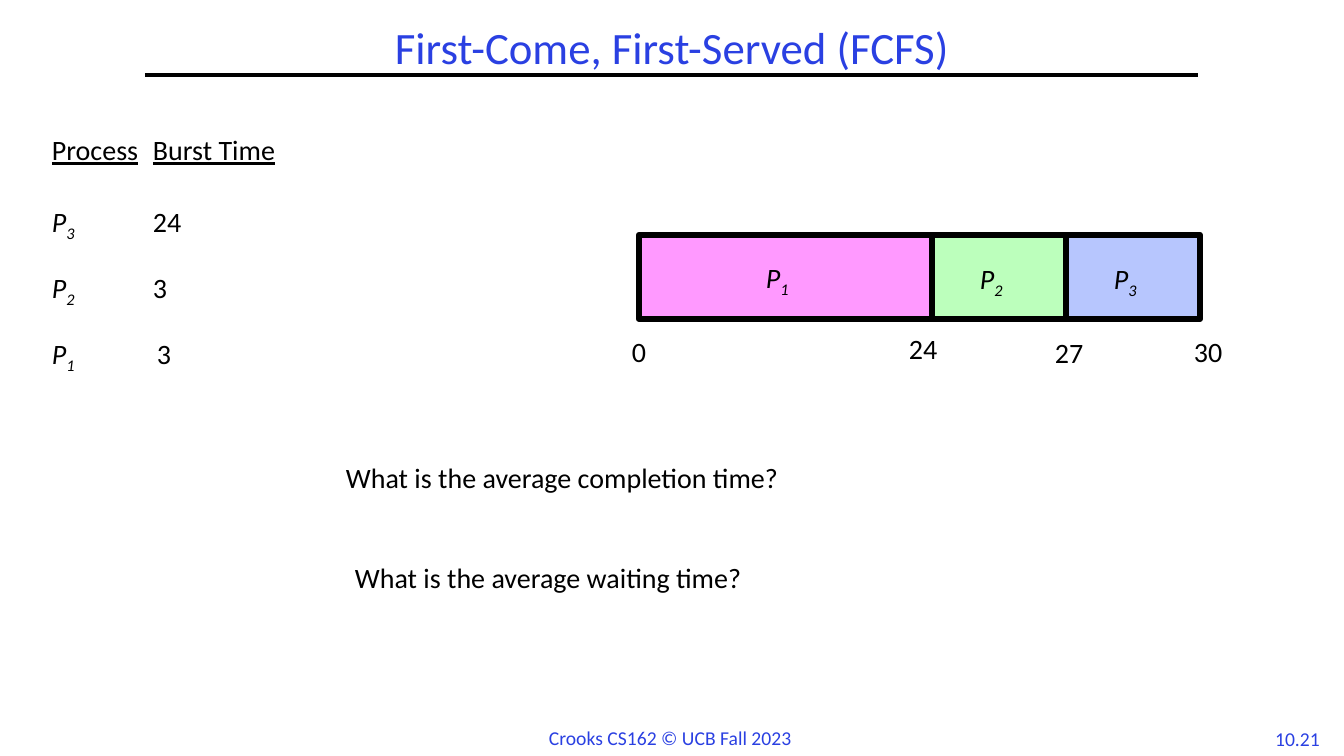
from dataclasses import dataclass
from lxml.etree import SubElement as Sub
from pptx import Presentation
from pptx.dml.color import RGBColor as Rgb
from pptx.enum.shapes import MSO_CONNECTOR as Conn, MSO_SHAPE as Shape
from pptx.enum.text import MSO_ANCHOR as Anchor, PP_ALIGN as Align
from pptx.oxml.ns import qn
from pptx.util import Pt


@dataclass(frozen=True)
class Theme:
    font: str = "Calibri"
    ink: str = "000000"
    blue: str = "2A40E2"
    pink: str = "FF99FF"
    green: str = "BCFFBC"
    sky: str = "B7C6FE"
    head: int = 32
    body: int = 20
    foot: int = 14
    rule: float = 3
    edge: float = 4.5


T = Theme()
WIDE, HIGH = 1344, 756
SCALE = 914400 / 100.8

TITLE = "First-Come, First-Served (FCFS)"
CREDIT = "Crooks CS162 © UCB Fall 2023"
PAGE = "10.21"
HEADS = ("Process", "Burst Time")
ROWS = [("3", "24", 101, 30), ("2", "3", 101, 25.5), ("1", "3", 105, 25.5)]
BARS = [("3", 1066, 134, T.sky), ("2", 932, 134, T.green), ("1", 639, 293, T.pink)]
NAMES = [("3", 1104, 260), ("2", 970, 260), ("1", 756, 259)]
TIMES = [("0", 622, 336), ("24", 899, 333), ("27", 1045, 337), ("30", 1184, 336)]
ASKS = [
    ("What is the average completion time?", 336, 462),
    ("What is the average waiting time?", 345, 562),
]


def px(n):
    return round(n * SCALE)


def style(run, size=T.body, color=T.ink, mark=""):
    font = run.font
    font.name, font.size = T.font, Pt(size)
    font.color.rgb = Rgb.from_string(color)
    if "i" in mark:
        font.italic = True
    if "u" in mark:
        font.underline = True
    if "s" in mark:
        run._r.get_or_add_rPr().set("baseline", "-25000")


def fill(para, parts, lead=0.8, **look):
    para.line_spacing = lead
    for text, mark in parts:
        run = para.add_run()
        run.text = text
        style(run, mark=mark, **look)


def box(x, y, w, h, wrap=True):
    frame = slide.shapes.add_textbox(px(x), px(y), px(w), px(h)).text_frame
    frame.word_wrap = wrap
    return frame


def label(parts, x, y, w, h, wrap=True, align=Align.LEFT, **look):
    frame = box(x, y, w, h, wrap)
    para = frame.paragraphs[0]
    para.alignment = align
    fill(para, parts, **look)
    return frame


def name(num):
    return [("P", "i"), (num, "is")]


def tab(para, at):
    stops = Sub(para._p.get_or_add_pPr(), qn("a:tabLst"))
    Sub(stops, qn("a:tab"), pos=str(px(at)), algn="l")


def bar(x, w, color):
    rect = slide.shapes.add_shape(Shape.RECTANGLE, px(x), px(235), px(w), px(84))
    rect.shadow.inherit = False
    rect.fill.solid()
    rect.fill.fore_color.rgb = Rgb.from_string(color)
    rect.line.color.rgb = Rgb.from_string(T.ink)
    rect.line.width = Pt(T.edge)


def rule(x, y, end):
    line = slide.shapes.add_connector(Conn.STRAIGHT, px(x), px(y), px(end), px(y))
    line.line.color.rgb = Rgb.from_string(T.ink)
    line.line.width = Pt(T.rule)
    Sub(line._element.spPr, qn("a:effectLst"))


def table():
    frame = box(42, 134, 508, 285)
    para = frame.paragraphs[0]
    tab(para, 101)
    fill(para, [(HEADS[0], "u"), ("\t", ""), (HEADS[1], "u")])
    for num, burst, stop, gap in ROWS:
        para = frame.add_paragraph()
        tab(para, stop)
        para.space_before = Pt(gap)
        fill(para, name(num) + [("\t" + burst, "")])


deck = Presentation()
deck.slide_width, deck.slide_height = px(WIDE), px(HIGH)
slide = deck.slides.add_slide(deck.slide_layouts[6])

foot = dict(wrap=False, lead=1.0, size=T.foot, color=T.blue)
label([(PAGE, "")], 1263, 722, 69, 33, align=Align.CENTER, **foot)
rule(145, 75, 1198)
label([(CREDIT, "")], 539, 721, 265, 34, **foot)
head = label([(TITLE, "")], 0, 25, WIDE, 50, align=Align.CENTER,
             lead=0.9, size=T.head, color=T.blue)
head.vertical_anchor = Anchor.MIDDLE

table()
for num, x, w, color in BARS:
    bar(x, w, color)
for text, x, y in TIMES:
    label([(text, "")], x, y, 71, 33)
for num, x, y in NAMES:
    label(name(num), x, y, 58, 33)
for text, x, y in ASKS:
    label([(text, "")], x, y, 739, 285)

deck.save("out.pptx")
